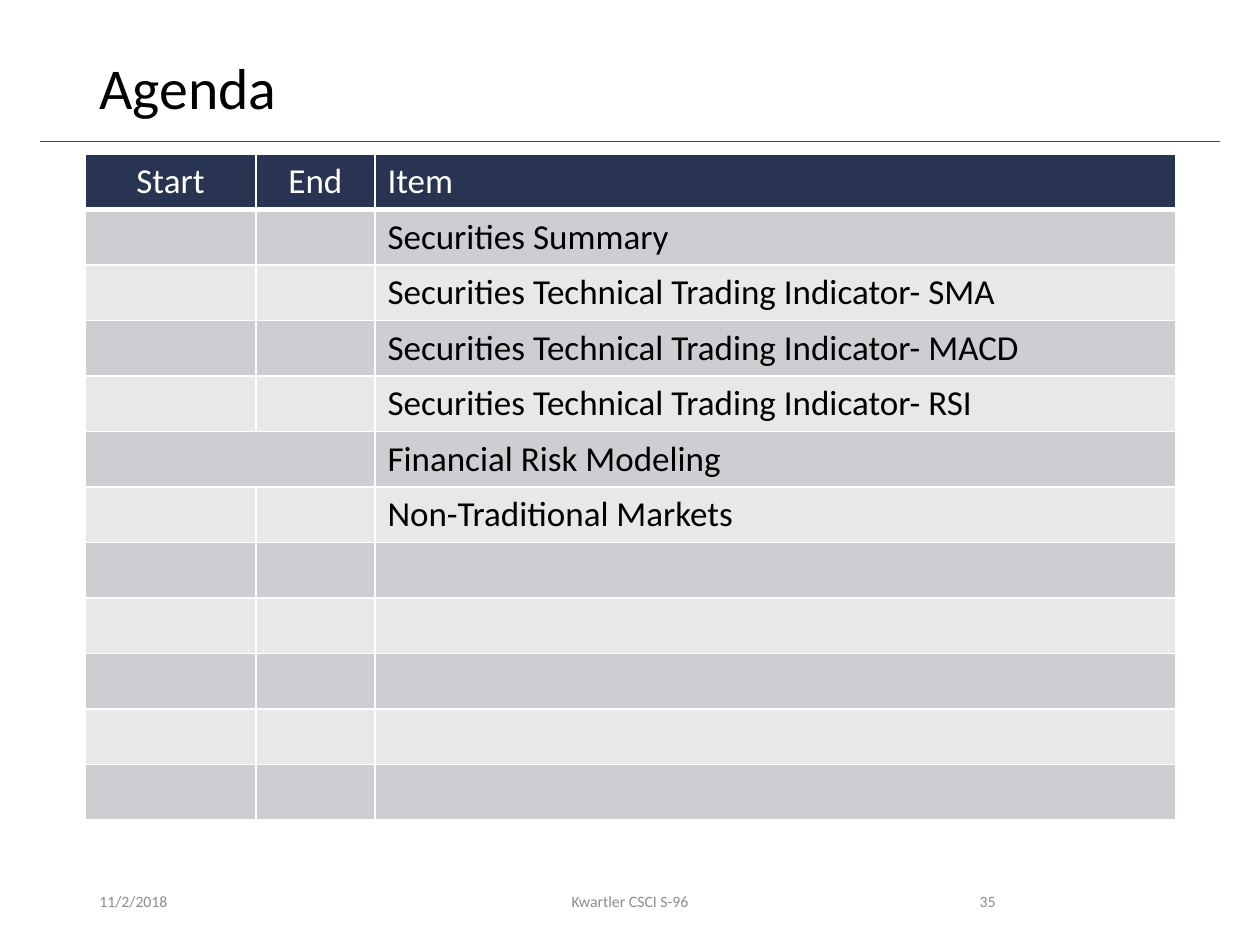
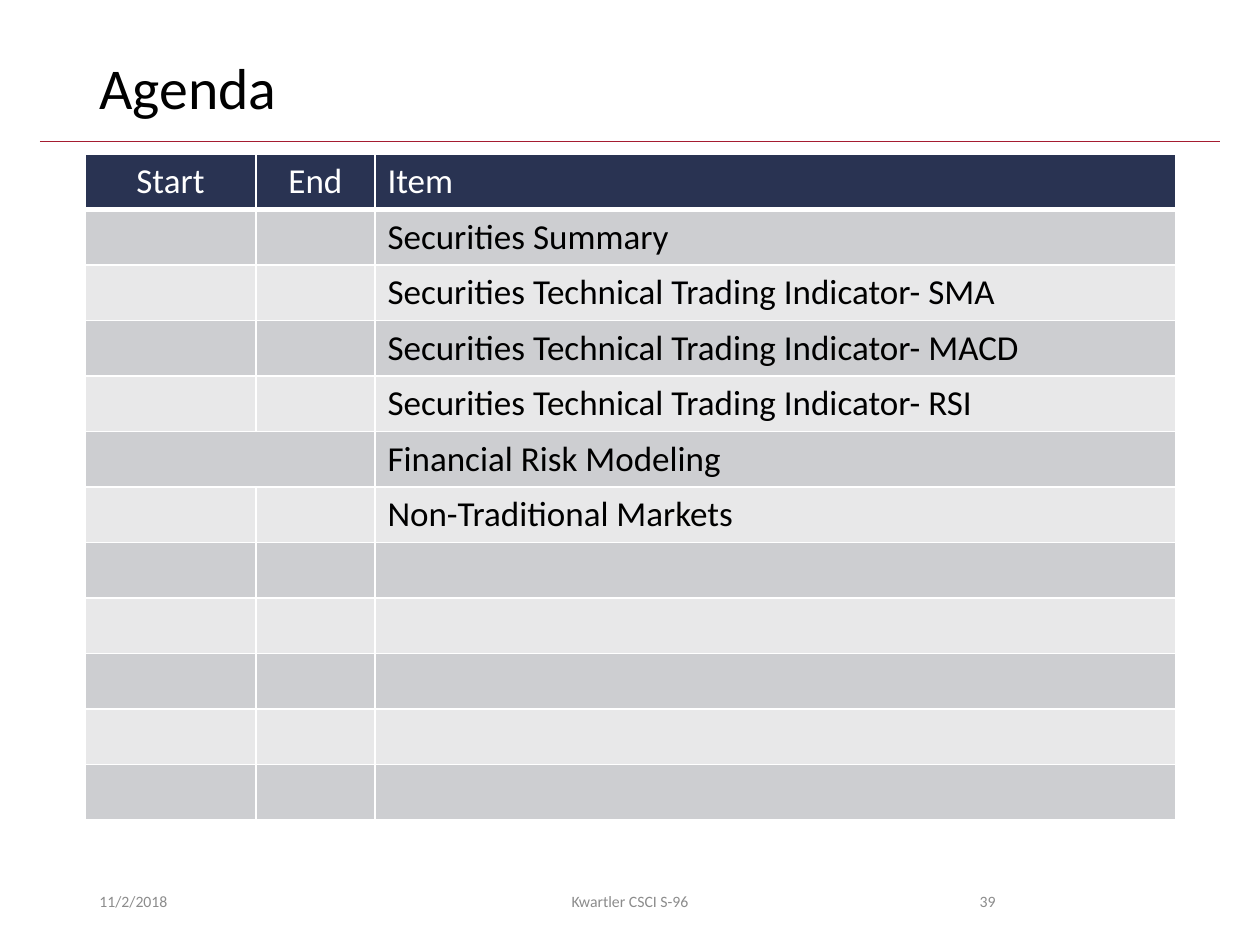
from lxml.etree import SubElement
from pptx import Presentation
from pptx.dml.color import RGBColor
from pptx.enum.text import MSO_ANCHOR as ANCHOR, PP_ALIGN as ALIGN
from pptx.enum.shapes import MSO_CONNECTOR as CONNECTOR
from pptx.oxml.ns import qn
from pptx.util import Pt

PX = 914400 / 126
FONT = "Calibri"
BLACK, WHITE, CRIMSON, GREY = "000000", "FFFFFF", "A51C30", "8C8C8C"
NAVY, BAND_DARK, BAND_LIGHT = "293352", "CDCED1", "E8E8E9"

COLUMNS = [171, 119, 801]
ROW_COUNT, ROW_HEIGHT = 12, 52
MERGED_ROW = 5
HEADER = ["Start", "End", "Item"]
ITEMS = [
    "Securities Summary",
    "Securities Technical Trading Indicator- SMA",
    "Securities Technical Trading Indicator- MACD",
    "Securities Technical Trading Indicator- RSI",
    "Financial Risk Modeling",
    "Non-Traditional Markets",
]


def px(*lengths):
    return [round(n * PX) for n in lengths]


def write(tf, text, size, color, align=ALIGN.LEFT):
    p = tf.paragraphs[0]
    p.alignment = align
    r = p.add_run()
    r.text = text
    r.font.color.rgb = RGBColor.from_string(color)
    for name, value in {"name": FONT, "size": Pt(size), "bold": False}.items():
        setattr(r.font, name, value)
    return p


prs = Presentation()
prs.slide_width, prs.slide_height = px(1260, 945)

for page in ("35", "39"):
    s = prs.slides.add_slide(prs.slide_layouts[5])

    # Rule under the title
    rule = s.shapes.add_connector(CONNECTOR.STRAIGHT, *px(40, 141, 1220, 141))
    rule.line.color.rgb = RGBColor.from_string(CRIMSON)
    rule.line.width = Pt(0.5)
    SubElement(rule._element.spPr, qn("a:effectLst"))

    # Title
    title = s.shapes.title
    title.left, title.top, title.width, title.height = px(87, 50, 1086, 82)
    title.text_frame.vertical_anchor = ANCHOR.MIDDLE
    write(title.text_frame, "Agenda", 33, BLACK).line_spacing = 0.9

    # Agenda table
    frame = s.shapes.add_table(ROW_COUNT, len(COLUMNS),
                               *px(85, 154, sum(COLUMNS), ROW_COUNT * ROW_HEIGHT))
    table = frame.table
    table.first_row = table.horz_banding = False
    for column, width in zip(table.columns, px(*COLUMNS)):
        column.width = width

    for i in range(ROW_COUNT):
        table.rows[i].height = px(ROW_HEIGHT)[0]
        if i == 0:
            texts, fill, color = HEADER, NAVY, WHITE
        else:
            item = ITEMS[i - 1] if i <= len(ITEMS) else ""
            texts, color = ["", "", item], BLACK
            fill = BAND_DARK if i % 2 else BAND_LIGHT

        for j, text in enumerate(texts):
            cell = table.cell(i, j)
            tcPr = cell._tc.get_or_add_tcPr()
            for side in ("L", "R", "T", "B"):
                weight = 3 if i == 0 and side == "B" else 1
                ln = SubElement(tcPr, qn("a:ln" + side), w=str(Pt(weight)))
                solid = SubElement(ln, qn("a:solidFill"))
                SubElement(solid, qn("a:srgbClr"), val=WHITE)
            cell.fill.solid()
            cell.fill.fore_color.rgb = RGBColor.from_string(fill)
            if text:
                write(cell.text_frame, text, 20, color,
                      ALIGN.LEFT if j == 2 else ALIGN.CENTER)
            else:
                # Empty cells keep the text size, so all rows are equally high
                SubElement(cell.text_frame.paragraphs[0]._p,
                           qn("a:endParaRPr"), sz="2000")
    table.cell(MERGED_ROW, 0).merge(table.cell(MERGED_ROW, 1))

    # Footer: date, course, page number
    for left, width, text, align in (
        (87, 284, "11/2/2018", ALIGN.LEFT),
        (417, 426, "Kwartler CSCI S-96", ALIGN.CENTER),
        (890, 118, page, ALIGN.RIGHT),
    ):
        tf = s.shapes.add_textbox(*px(left, 876, width, 50)).text_frame
        tf.word_wrap = True
        tf.vertical_anchor = ANCHOR.MIDDLE
        write(tf, text, 9, GREY, align)

prs.save("out.pptx")
